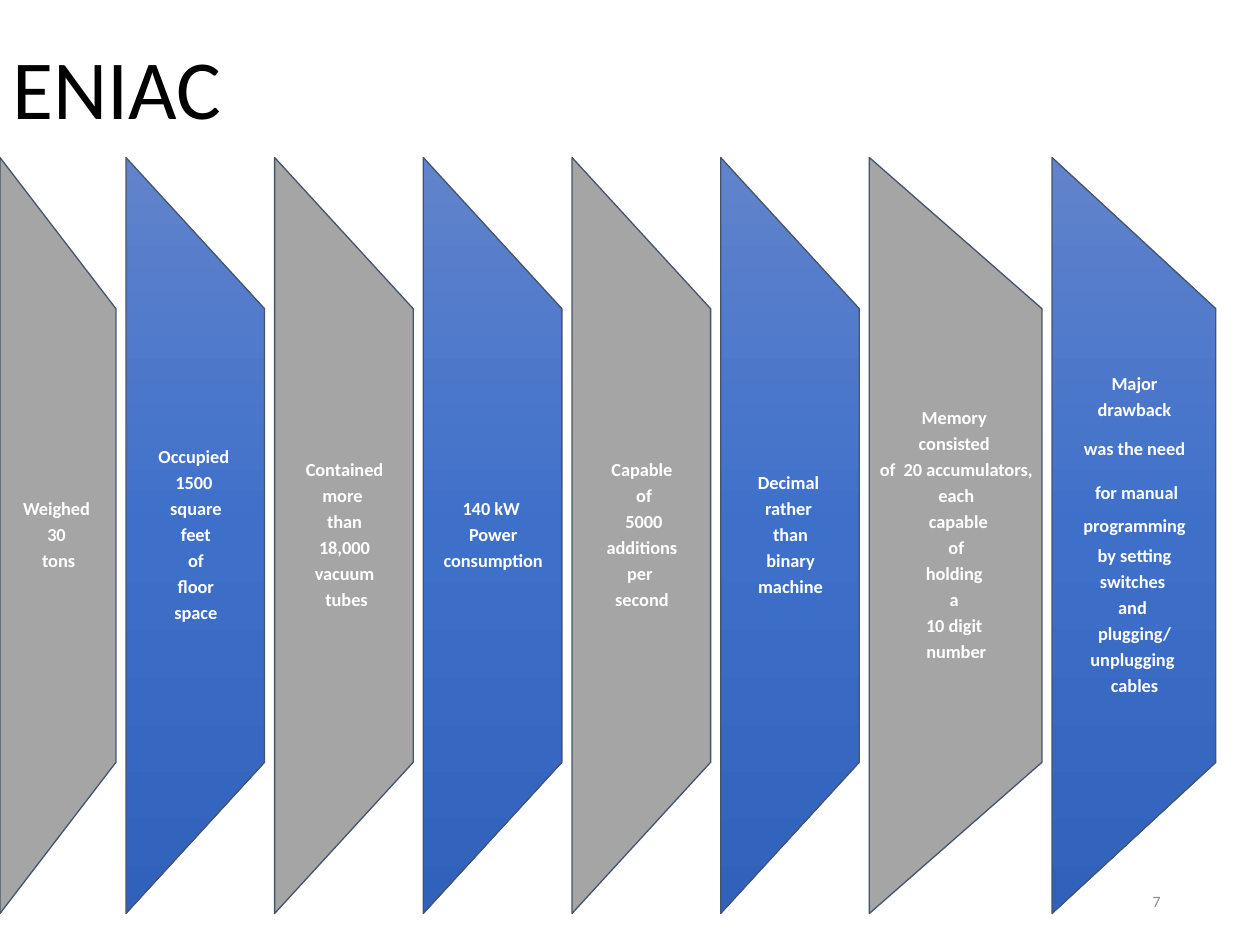
from dataclasses import dataclass

from lxml.etree import SubElement
from pptx import Presentation
from pptx.dml.color import RGBColor
from pptx.enum.shapes import MSO_SHAPE
from pptx.enum.text import MSO_ANCHOR, PP_ALIGN
from pptx.oxml.ns import qn
from pptx.util import Inches, Pt


@dataclass(frozen=True)
class Theme:
    font: str = "Calibri"
    title_size: float = 48
    fact_size: float = 10.5
    number_size: float = 9
    black: str = "000000"
    white: str = "FFFFFF"
    number_gray: str = "8C8C8C"
    panel_gray: str = "A5A5A5"
    outline: str = "44546A"
    blues: tuple[str, ...] = ("6183CB", "3E70CA", "3062BB")


@dataclass(frozen=True)
class Fact:
    width: float
    lines: tuple[str, ...]
    loose_lines: tuple[int, ...] = ()


THEME = Theme()
PANEL_TOP, PANEL_HEIGHT = 1.25, 6.0
TEXT_TOP, TEXT_HEIGHT = 2.45, 3.6
GAP = 0.08

FACTS = (
    Fact(0.92, ("Weighed ", "30 ", "tons")),
    Fact(1.1, ("Occupied ", "1500 ", "square", " feet ", "of", " floor ", "space")),
    Fact(1.1, ("Contained", "more ", "than", " 18,000 ", "vacuum", " tubes")),
    Fact(1.1, ("140 kW ", "Power", "consumption")),
    Fact(1.1, ("Capable", " of", " 5000", " additions ", "per ", "second")),
    Fact(1.1, ("Decimal ", "rather ", "than", " binary ", "machine")),
    Fact(1.37, ("Memory ", "consisted ", "of  20 accumulators, ", "each", " capable",
                " of ", "holding ", "a ", "10 digit ", "number")),
    Fact(1.3, ("Major", " drawback ", "was the need", " for manual programming",
               " by setting ", "switches ", "and ", "plugging/", "unplugging ", "cables"),
         loose_lines=(2, 3)),
)


def add_text(shapes, left: float, top: float, width: float, height: float,
             lines: tuple[str, ...], size: float, color: str,
             align: PP_ALIGN = PP_ALIGN.LEFT, bold: bool = False):
    """Add a middle-anchored text box with one paragraph per line."""
    box = shapes.add_textbox(Inches(left), Inches(top), Inches(width), Inches(height))
    frame = box.text_frame
    frame.word_wrap = True
    frame.vertical_anchor = MSO_ANCHOR.MIDDLE
    frame.text = "\n".join(lines)
    for paragraph in frame.paragraphs:
        paragraph.alignment = align
        for run in paragraph.runs:
            run.font.name = THEME.font
            run.font.size = Pt(size)
            run.font.bold = bold
            run.font.color.rgb = RGBColor.from_string(color)
    return frame


def fill_with_blues(panel) -> None:
    """Fill top to bottom on the page, regardless of the panel's rotation."""
    panel.fill.gradient()
    gradient = panel._element.spPr.find(qn("a:gradFill"))
    gradient.set("rotWithShape", "0")
    stops = gradient.find(qn("a:gsLst"))
    for stop in list(stops):
        stops.remove(stop)
    for index, color in enumerate(THEME.blues):
        stop = SubElement(stops, qn("a:gs"), pos=str(index * 50000))
        SubElement(stop, qn("a:srgbClr"), val=color)
    direction = gradient.find(qn("a:lin"))
    direction.set("ang", "5400000")
    direction.set("scaled", "0")


def add_panel(shapes, left: float, width: float, is_blue: bool) -> None:
    """Add a trapezoid turned so that its long side faces left."""
    center_x = left + width / 2
    center_y = PANEL_TOP + PANEL_HEIGHT / 2
    panel = shapes.add_shape(
        MSO_SHAPE.FLOWCHART_MANUAL_OPERATION,
        Inches(center_x - PANEL_HEIGHT / 2), Inches(center_y - width / 2),
        Inches(PANEL_HEIGHT), Inches(width))
    panel.rotation = 270
    panel.shadow.inherit = False
    panel.line.color.rgb = RGBColor.from_string(THEME.outline)
    panel.line.width = Pt(0.75)
    if is_blue:
        fill_with_blues(panel)
    else:
        panel.fill.solid()
        panel.fill.fore_color.rgb = RGBColor.from_string(THEME.panel_gray)


def add_fact(shapes, fact: Fact, left: float, is_blue: bool) -> None:
    add_panel(shapes, left, fact.width, is_blue)
    frame = add_text(shapes, left, TEXT_TOP, fact.width, TEXT_HEIGHT, fact.lines,
                     THEME.fact_size, THEME.white, PP_ALIGN.CENTER, bold=True)
    frame.margin_left, frame.margin_right = Inches(0.08), Inches(0.07)
    frame.margin_top = frame.margin_bottom = 0
    for index, paragraph in enumerate(frame.paragraphs):
        is_loose = index in fact.loose_lines
        paragraph.line_spacing = 1.5 if is_loose else 0.9
        paragraph.space_after = Pt(6 if is_loose else 3.5)


def main() -> None:
    presentation = Presentation()
    presentation.slide_width, presentation.slide_height = Inches(10), Inches(7.5)
    slide = presentation.slides.add_slide(presentation.slide_layouts[6])

    add_text(slide.shapes, 7.06, 6.95, 2.25, 0.4, ("7",),
             THEME.number_size, THEME.number_gray, PP_ALIGN.RIGHT)
    title = add_text(slide.shapes, 0, 0.25, 8.26, 0.97, ("ENIAC",),
                     THEME.title_size, THEME.black)
    title.paragraphs[0].line_spacing = 0.9

    facts_group = slide.shapes.add_group_shape()
    left = 0.0
    for index, fact in enumerate(FACTS):
        add_fact(facts_group.shapes, fact, left, is_blue=index % 2 == 1)
        left += fact.width + GAP

    presentation.save("out.pptx")


if __name__ == "__main__":
    main()
